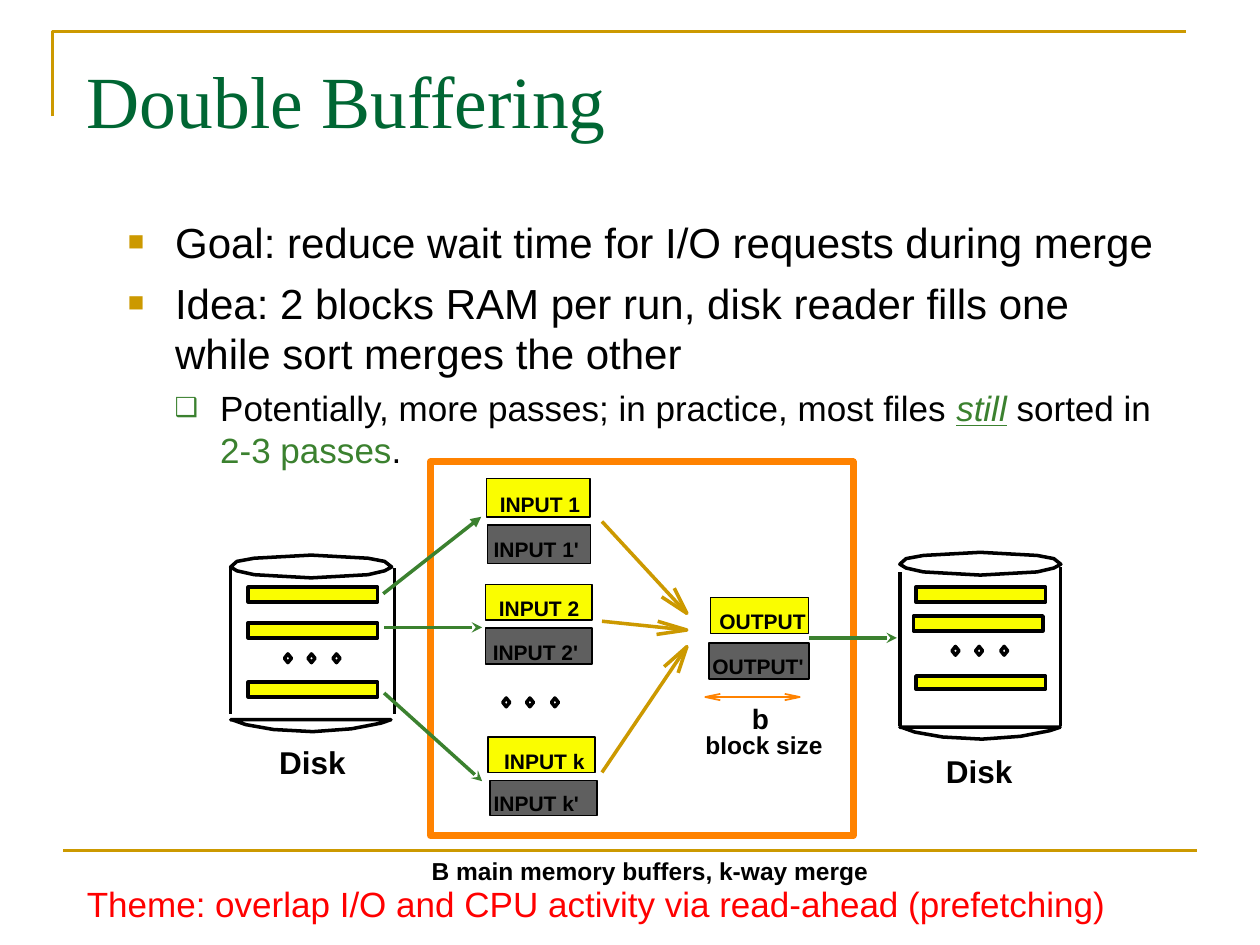
from lxml import etree
from pptx import Presentation
from pptx import util as u
from pptx.dml.color import RGBColor
from pptx.enum import shapes, text
from pptx.oxml import ns

GOLD = RGBColor(0xCC, 0x99, 0x00)
DARK_GREEN = RGBColor(0x00, 0x66, 0x33)
GREEN = RGBColor(0x3B, 0x81, 0x2F)
ORANGE = RGBColor(0xFF, 0x82, 0x00)
YELLOW = RGBColor(0xFA, 0xFD, 0x00)
GRAY = RGBColor(0x5F, 0x5F, 0x5F)
BLACK = RGBColor(0, 0, 0)
RED = RGBColor(0xFF, 0, 0)

presentation = Presentation()
presentation.slide_width = u.Pt(720)
presentation.slide_height = u.Pt(540)
slide = presentation.slides.add_slide(presentation.slide_layouts[6])


def paint(shape, line, width, fill=None):
    shape.shadow.inherit = False
    shape.line.color.rgb = line
    shape.line.width = u.Pt(width)
    if fill is None:
        shape.fill.background()
    else:
        shape.fill.solid()
        shape.fill.fore_color.rgb = fill


def add_run(paragraph, words, color, **font_values):
    run = paragraph.add_run()
    run.text = words
    run.font.color.rgb = color
    for name, value in ({"name": "Arial"} | font_values).items():
        setattr(run.font, name, value)


title = slide.shapes.add_textbox(u.Pt(42.5), u.Pt(28), u.Pt(635), u.Pt(72))
title.text_frame.word_wrap = True
add_run(title.text_frame.paragraphs[0], "Double Buffering", DARK_GREEN,
        name="Times New Roman", size=u.Pt(42))

body = slide.shapes.add_textbox(u.Pt(66), u.Pt(120), u.Pt(612), u.Pt(321))
body.text_frame.word_wrap = True
main_level = dict(level=0, left=27, hanging=27, before=6, size=24,
                  bullet="■", bullet_color=GOLD, bullet_size=65)
sub_level = dict(level=1, left=52.75, hanging=26, before=5, size=20,
                 bullet="❑", bullet_color=GREEN, bullet_size=75)
body_paragraphs = [
    (main_level, [("Goal: reduce wait time for I/O requests during merge", BLACK, {})]),
    (main_level, [("Idea: 2 blocks RAM per run, disk reader fills one while sort merges the other",
                   BLACK, {})]),
    (sub_level, [("Potentially, more passes; in practice, most files ", BLACK, {}),
                 ("still", GREEN, dict(italic=True, underline=True)),
                 (" sorted in ", BLACK, {}),
                 ("2-3 passes", GREEN, {}),
                 (".", BLACK, {})]),
]
for index, (style, runs) in enumerate(body_paragraphs):
    paragraph = body.text_frame.add_paragraph() if index else body.text_frame.paragraphs[0]
    properties = paragraph._p.get_or_add_pPr()
    properties.set("marL", str(u.Pt(style["left"])))
    properties.set("indent", str(-u.Pt(style["hanging"])))
    bullet_color = etree.SubElement(properties, ns.qn("a:buClr"))
    etree.SubElement(bullet_color, ns.qn("a:srgbClr"), val=str(style["bullet_color"]))
    etree.SubElement(properties, ns.qn("a:buSzPct"), val=str(style["bullet_size"] * 1000))
    etree.SubElement(properties, ns.qn("a:buFont"), typeface="Arial")
    etree.SubElement(properties, ns.qn("a:buChar"), char=style["bullet"])
    paragraph.level = style["level"]
    if index:
        paragraph.space_before = u.Pt(style["before"])
    for words, color, font_values in runs:
        add_run(paragraph, words, color, size=u.Pt(style["size"]), **font_values)

disk_top = [(92, 6.8), (88, 3.6), (78.5, 1.8), (46, 0), (13.5, 1.8), (3.6, 3.6), (0, 6.8),
            (3.6, 9), (13.5, 11.2), (46, 13), (78.5, 11.2), (88, 9), (92, 6.8)]
disk_bottom = [(0, 0), (1.4, 0.2), (8.6, 2.8), (24.5, 5.6), (47, 6.8), (69, 5.2),
               (85.7, 2), (91.6, 0), (0, 0)]
frame_corner = [(0, 48.5), (0, 0), (648, 0)]
outlines = [
    (frame_corner, 30, 18, GOLD, 1.5),
    (disk_top, 131.8, 317.2, BLACK, 2),
    (disk_bottom, 131.8, 411.3, BLACK, 2),
    (disk_top, 514.2, 315.6, BLACK, 2),
    (disk_bottom, 514.2, 415.6, BLACK, 2),
    ([(-13, 11.5), (0, 0), (-5, 15)], 392.5, 369.5, GOLD, 2),
    ([(-7.2, -14.4), (0, 0), (-14.4, -9.4)], 392.5, 350.5, GOLD, 2),
    ([(-16.6, -5), (0, 0), (-17.3, 2.5)], 392.5, 360, GOLD, 2),
    ([(8.6, -1.8), (0, 0), (8.6, 1.8)], 403, 398.3, ORANGE, 1),
    ([(-8.6, -1.8), (0, 0), (-8.6, 1.8)], 457, 398.3, ORANGE, 1),
]
for points, left, top, color, width in outlines:
    corners = [(u.Pt(left + x), u.Pt(top + y)) for x, y in points]
    builder = slide.shapes.build_freeform(*corners[0])
    builder.add_line_segments(corners[1:], close=points[0] == points[-1])
    paint(builder.convert_to_shape(), color, width)

rectangles = [
    (246, 264, 241.5, 213.5, None, ORANGE, 4),
    (406, 341.5, 56, 20.5, YELLOW, BLACK, 1),
    (405, 367.5, 57.5, 20.5, GRAY, BLACK, 1),
    (278, 273.5, 59, 22, YELLOW, BLACK, 1),
    (278.5, 300, 59, 22, GRAY, BLACK, 1),
    (277.5, 334, 61, 20.5, YELLOW, BLACK, 1),
    (277.5, 359, 61, 20.5, GRAY, BLACK, 1),
    (279, 421, 61, 20.5, YELLOW, BLACK, 1),
    (280, 446, 61, 20, GRAY, BLACK, 1),
]
for left, top in [(141.8, 335.5), (141.8, 356), (141.8, 389.8),
                  (523.4, 335.5), (522, 352), (523.4, 386.3)]:
    height = 7.5 if top == 386.3 else 8.5
    rectangles.append((left, top, 74, height, YELLOW, BLACK, 2))
for left, top, width, height, fill, color, line_width in rectangles:
    box = slide.shapes.add_shape(shapes.MSO_SHAPE.RECTANGLE,
                                 u.Pt(left), u.Pt(top), u.Pt(width), u.Pt(height))
    paint(box, color, line_width, fill)

for left, top in [(162.5, 373.7), (544, 369.4), (287.3, 398.9)]:
    for offset in (0, 13.5, 27.8):
        dot = slide.shapes.add_shape(shapes.MSO_SHAPE.DIAMOND,
                                     u.Pt(left + offset), u.Pt(top), u.Pt(4), u.Pt(5))
        paint(dot, BLACK, 2)

lines = [
    (36, 486, 684, 486, GOLD, 1.5, None),
    (131.8, 324.7, 131.8, 408.2, BLACK, 2, None),
    (225.4, 324.7, 225.4, 408.2, BLACK, 2, None),
    (514.2, 326.9, 514.2, 414.7, BLACK, 2, None),
    (606, 324, 606, 414.7, BLACK, 2, None),
    (344, 441.4, 392.5, 369.5, GOLD, 2, None),
    (344, 298, 392.5, 350.5, GOLD, 2, None),
    (344, 355, 392.5, 360, GOLD, 2, None),
    (403, 398.3, 457, 398.3, ORANGE, 1, None),
    (219, 339.3, 275, 295.3, GREEN, 2, "triangle"),
    (219.5, 358.5, 275.5, 358.5, GREEN, 2, "stealth"),
    (219.5, 396, 275.5, 446.4, GREEN, 2, "stealth"),
    (462.5, 364.5, 512.5, 364.5, GREEN, 2, "stealth"),
]
for x1, y1, x2, y2, color, width, arrowhead in lines:
    connector = slide.shapes.add_connector(shapes.MSO_CONNECTOR.STRAIGHT,
                                           u.Pt(x1), u.Pt(y1), u.Pt(x2), u.Pt(y2))
    connector.line.color.rgb = color
    connector.line.width = u.Pt(width)
    if arrowhead:
        etree.SubElement(connector.line._get_or_add_ln(), ns.qn("a:tailEnd"), type=arrowhead)
    etree.SubElement(connector._element.spPr, ns.qn("a:effectLst"))

labels = [
    ("OUTPUT", 404, 344, 68, 21.5, 12),
    ("OUTPUT'", 400, 370, 72, 21.5, 12),
    ("INPUT 1", 278.5, 277.5, 62, 21.5, 12),
    ("INPUT 1'", 275, 303, 65, 21.5, 12),
    ("INPUT 2", 278, 336.5, 62, 21.5, 12),
    ("INPUT 2'", 274.5, 362, 65, 21.5, 12),
    ("INPUT k", 281, 424, 62, 21.5, 12),
    ("INPUT k'", 275, 448, 65, 21.5, 12),
    ("Disk", 152.5, 421, 52.5, 29, 18),
    ("Disk", 533.5, 426, 52.5, 29, 18),
    ("b", 422.5, 397.5, 24, 26, 16),
    ("block size", 396, 413.5, 81.5, 24, 14),
    ("B main memory buffers, k-way merge", 239.5, 485.5, 264, 24, 14),
    ("Theme: overlap I/O and CPU activity via read-ahead (prefetching)",
     42.5, 501, 597, 32, 20),
]
for words, left, top, width, height, size in labels:
    label = slide.shapes.add_textbox(u.Pt(left), u.Pt(top), u.Pt(width), u.Pt(height))
    label.text_frame.word_wrap = False
    label.text_frame.auto_size = text.MSO_AUTO_SIZE.NONE
    is_theme = size == 20
    add_run(label.text_frame.paragraphs[0], words, RED if is_theme else BLACK,
            size=u.Pt(size), bold=not is_theme)

presentation.save("out.pptx")
